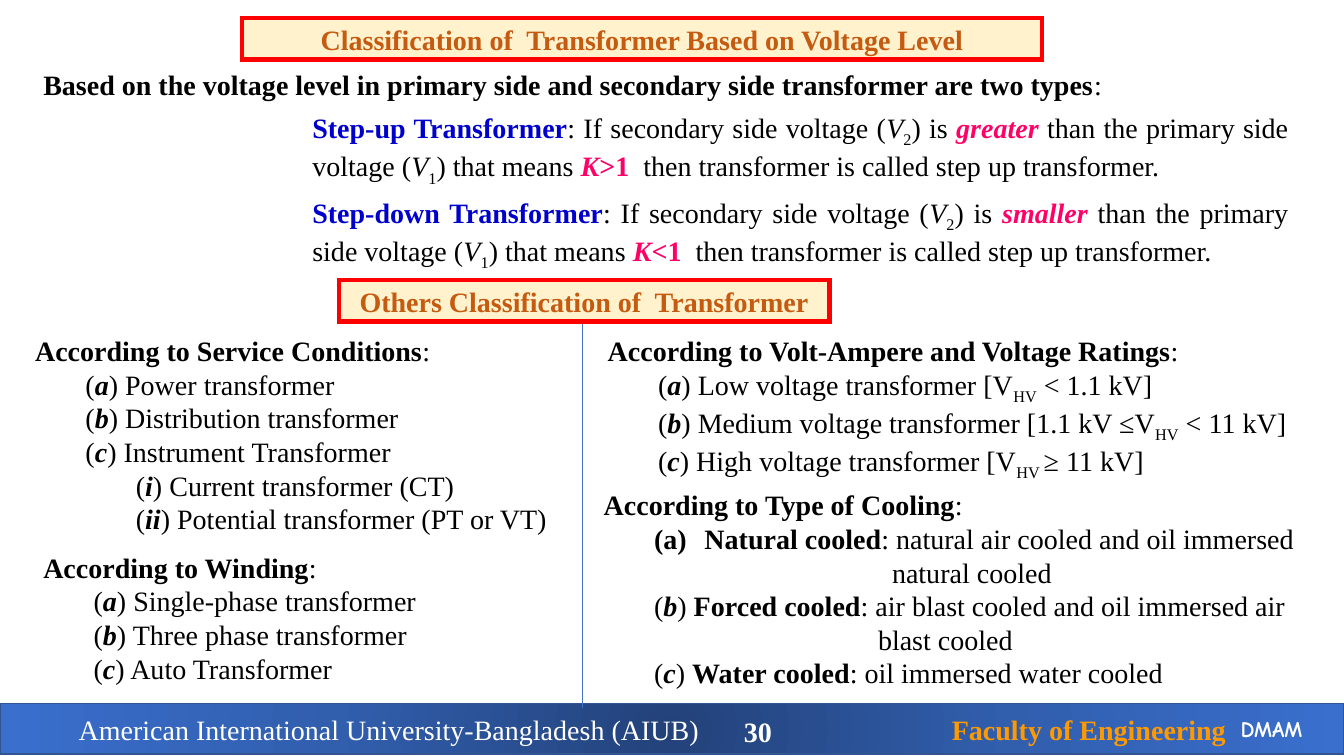
from lxml import etree
from pptx import Presentation
from pptx.dml.color import RGBColor
from pptx.enum.shapes import MSO_CONNECTOR, MSO_SHAPE
from pptx.enum.text import MSO_ANCHOR, MSO_AUTO_SIZE, PP_ALIGN
from pptx.oxml import parse_xml
from pptx.oxml.ns import qn
from pptx.util import Pt

LEFT, CENTER, JUSTIFY = PP_ALIGN.LEFT, PP_ALIGN.CENTER, PP_ALIGN.JUSTIFY
TOP, MIDDLE = MSO_ANCHOR.TOP, MSO_ANCHOR.MIDDLE
GROW, FIXED = MSO_AUTO_SIZE.SHAPE_TO_FIT_TEXT, MSO_AUTO_SIZE.NONE
RECT, STRAIGHT = MSO_SHAPE.RECTANGLE, MSO_CONNECTOR.STRAIGHT

BLACK = RGBColor(0x00, 0x00, 0x00)
WHITE = RGBColor(0xFF, 0xFF, 0xFF)
RED = RGBColor(0xFF, 0x00, 0x00)
CREAM = RGBColor(0xFF, 0xF2, 0xCC)
BROWN = RGBColor(0xC5, 0x5A, 0x11)
BLUE = RGBColor(0x00, 0x00, 0xCC)
PINK = RGBColor(0xFF, 0x00, 0x66)
ORANGE = RGBColor(0xFF, 0x99, 0x00)
DIVIDER = RGBColor(0x44, 0x72, 0xC4)
FOOTER_EDGE = RGBColor(0x32, 0x54, 0x91)
FOOTER_STOPS = [(0, "23427A"), (50, "315EAD"), (100, "3A6FCE")]
FONT = "Times New Roman"
INDENT = 36

# Run formats
PLAIN = {}
BOLD = {"bold": True}
ITALIC = {"italic": True}
MARK = {"bold": True, "italic": True}
SUB = {"sub": True}
TERM = {"bold": True, "color": BLUE}
KEY = {"bold": True, "color": PINK}
KEY_ITALIC = {"bold": True, "italic": True, "color": PINK}
TITLE = {"bold": True, "color": BROWN}
LIGHT = {"color": WHITE}
LIGHT_BOLD = {"bold": True, "color": WHITE}
FACULTY = {"bold": True, "color": ORANGE}
INITIALS = {"bold": True, "size": 16, "font": "Comic Neue", "color": WHITE}


def para(*runs, **layout):
    return runs, layout


def heading(text):
    return para((text, BOLD), (":", PLAIN), align=JUSTIFY)


def item(mark, *runs, level=1):
    """List entry with a bold italic mark in parentheses."""
    body = [r if isinstance(r, tuple) else (r, PLAIN) for r in runs]
    return para(("(", PLAIN), (mark, MARK), (") ", PLAIN), *body,
                level=level, indent=level * INDENT)


def definition(term, size_word, relation, after=0):
    return para((term, TERM), (": If secondary side voltage (", PLAIN), ("V", ITALIC),
                ("2", SUB), (") is ", PLAIN), (size_word, KEY_ITALIC),
                (" than the primary side voltage (", PLAIN), ("V", ITALIC), ("1", SUB),
                (") that means ", PLAIN), ("K", KEY_ITALIC), (relation, KEY),
                ("  then transformer is called step up transformer.", PLAIN),
                align=JUSTIFY, after=after)


TITLES = [
    ((172.8, 13, 571.7, 29.5), "Classification of  Transformer Based on Voltage Level"),
    ((242, 200.2, 350.6, 29.5), "Others Classification of  Transformer"),
]

TEXTS = [
    ((216, 75.6, 711.4, 110.2), [
        definition("Step-up Transformer", "greater", ">1", after=6),
        definition("Step-down Transformer", "smaller", "<1"),
    ]),
    ((18, 234.7, 386.6, 152.6), [
        heading("According to Service Conditions"),
        item("a", "Power transformer"),
        item("b", "Distribution transformer"),
        item("c", "Instrument Transformer"),
        item("i", "Current transformer (CT)", level=2),
        item("ii", "Potential transformer (PT or VT)", level=2),
    ]),
    ((427, 234.7, 509, 104.4), [
        heading("According to Volt-Ampere and Voltage Ratings"),
        item("a", "Low voltage transformer [V", ("HV", SUB), " < 1.1 kV]"),
        item("b", "Medium voltage transformer [1.1 kV ≤V", ("HV", SUB), " < 11 kV]"),
        item("c", "High voltage transformer [V", ("HV ", SUB), "≥ 11 kV]"),
    ]),
    ((23.8, 389.5, 313.2, 104.4), [
        heading("According to Winding"),
        item("a", "Single-phase transformer"),
        item("b", "Three phase transformer"),
        item("c", "Auto Transformer"),
    ]),
    ((424.1, 344.9, 532.1, 152.6), [
        heading("According to Type of Cooling"),
        para(("Natural cooled", BOLD), (": natural air cooled and oil immersed", PLAIN),
             level=1, indent=2 * INDENT, hanging=INDENT, number="alphaLcParenBoth"),
        para(("natural cooled", PLAIN), level=1, indent=206),
        item("b", ("Forced cooled", BOLD), ": air blast cooled and oil immersed air"),
        para(("blast cooled", PLAIN), level=1, indent=196),
        item("c", ("Water cooled", BOLD), ": oil immersed water cooled"),
    ]),
    ((23.8, 44.6, 805, 31.7), [
        heading("Based on the voltage level in primary side and secondary side "
                "transformer are two types"),
    ]),
]

FOOTER_TOP, FOOTER_HEIGHT = 502.6, 36
UNIVERSITY = para(("American International University-Bangladesh (AIUB)", LIGHT), indent=49)
FOOTER_TEXTS = [
    ((501.8, 508.3, 79.2, 28.8), para(("30", LIGHT_BOLD), align=CENTER)),
    ((672.8, FOOTER_TOP, 215, FOOTER_HEIGHT), para(("Faculty of Engineering", FACULTY))),
    ((879.2, FOOTER_TOP, 75, FOOTER_HEIGHT), para(("DMAM", INITIALS))),
]
DIVIDER_X, DIVIDER_TOP, DIVIDER_END = 416.2, 224.6, 505.4


def place(box):
    return [Pt(v) for v in box]


def add_run(p, text, size=20, font=FONT, color=BLACK, bold=False, italic=False, sub=False):
    r = p.add_run()
    r.text = text
    f = r.font
    f.size, f.name, f.bold, f.italic = Pt(size), font, bold, italic
    f.color.rgb = color
    if sub:
        r._r.get_or_add_rPr().set("baseline", "-25000")


def layout_para(p, align=LEFT, level=0, indent=0, hanging=0, after=0, number=None):
    p.alignment, p.level = align, level
    pPr = p._p.get_or_add_pPr()
    pPr.set("marL", str(Pt(indent)))
    pPr.set("indent", str(-Pt(hanging)))
    if number:
        etree.SubElement(pPr, qn("a:buFont"), typeface="+mj-lt")
        etree.SubElement(pPr, qn("a:buAutoNum"), type=number)
    p.space_after = Pt(after)


def fill_text(sp, paras, anchor=TOP, insets=(7.2, 3.6), auto_size=GROW):
    tf = sp.text_frame
    tf.word_wrap, tf.auto_size, tf.vertical_anchor = True, auto_size, anchor
    tf.margin_left = tf.margin_right = Pt(insets[0])
    tf.margin_top = tf.margin_bottom = Pt(insets[1])
    for i, (runs, layout) in enumerate(paras):
        p = tf.add_paragraph() if i else tf.paragraphs[0]
        layout_para(p, **layout)
        for text, style in runs:
            add_run(p, text, **style)


def add_rect(slide, box, line, width):
    """Rectangle with a sharp-cornered outline and no shadow."""
    sp = slide.shapes.add_shape(RECT, *place(box))
    sp.shadow.inherit = False
    sp.line.color.rgb, sp.line.width = line, Pt(width)
    etree.SubElement(sp._element.spPr.find(qn("a:ln")), qn("a:miter"), lim="800000")
    return sp


def fill_radial(sp, stops):
    sp.fill.background()
    spPr = sp._element.spPr
    stop_xml = "".join(f'<a:gs pos="{pos * 1000}"><a:srgbClr val="{color}"/></a:gs>'
                       for pos, color in stops)
    spPr.replace(spPr.find(qn("a:noFill")), parse_xml(
        '<a:gradFill xmlns:a="http://schemas.openxmlformats.org/drawingml/2006/main" '
        f'rotWithShape="1"><a:gsLst>{stop_xml}</a:gsLst><a:path path="circle">'
        '<a:fillToRect l="50000" t="50000" r="50000" b="50000"/></a:path></a:gradFill>'))


def main():
    prs = Presentation()
    prs.slide_width, prs.slide_height = Pt(960), Pt(540)
    slide = prs.slides.add_slide(prs.slide_layouts[6])

    footer = add_rect(slide, (0, FOOTER_TOP, 960, FOOTER_HEIGHT), FOOTER_EDGE, 1)
    fill_radial(footer, FOOTER_STOPS)
    fill_text(footer, [UNIVERSITY], anchor=MIDDLE, auto_size=FIXED)
    for box, line in FOOTER_TEXTS:
        fill_text(slide.shapes.add_textbox(*place(box)), [line],
                  anchor=MIDDLE, auto_size=FIXED)

    divider = slide.shapes.add_connector(STRAIGHT, Pt(DIVIDER_X), Pt(DIVIDER_TOP),
                                         Pt(DIVIDER_X), Pt(DIVIDER_END))
    divider.line.color.rgb, divider.line.width = DIVIDER, Pt(0.5)
    etree.SubElement(divider._element.spPr, qn("a:effectLst"))

    for box, title in TITLES:
        sp = add_rect(slide, box, RED, 3)
        sp.fill.solid()
        sp.fill.fore_color.rgb = CREAM
        fill_text(sp, [para((title, TITLE), align=CENTER)], insets=(5, 2.9))
    for box, paras in TEXTS:
        fill_text(slide.shapes.add_textbox(*place(box)), paras)

    prs.save("out.pptx")


if __name__ == "__main__":
    main()
